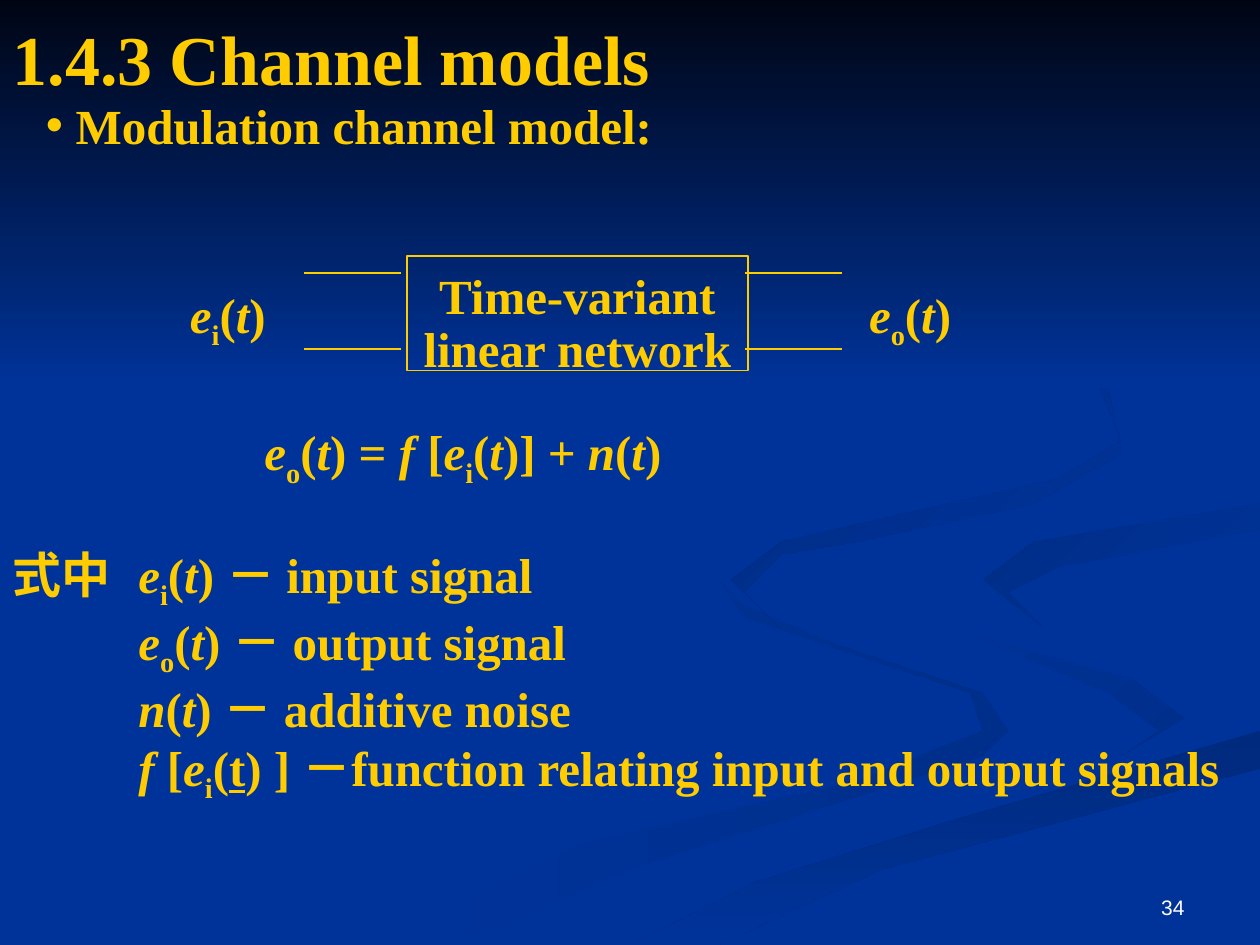
from dataclasses import dataclass

from lxml.etree import SubElement
from pptx import Presentation
from pptx.dml.color import RGBColor
from pptx.enum.shapes import MSO_CONNECTOR, MSO_SHAPE
from pptx.enum.text import MSO_ANCHOR as Anchor, MSO_AUTO_SIZE as AutoSize, PP_ALIGN as Align
from pptx.oxml.ns import qn
from pptx.util import Cm, Pt

COLORS = {
    "blue": "003399", "night": "000514", "gold": "FFCC00", "white": "FFFFFF",
    "shade1": "002E8B", "shade2": "002A7D", "shade3": "002D86", "shade4": "002B82",
}
TENTH_INCH = Cm(2.54) / 10


@dataclass
class Swirl:
    start: str
    end: str
    angle: int
    points: list[tuple[float, float]]


@dataclass
class Label:
    text: str
    left: float
    top: float
    width: float
    height: float = 1.4


SWIRLS = [
    Swirl("blue", "shade1", 0, [
        (78, 55.3), (66, 51.3), (59, 48), (57.4, 46), (59, 49), (77, 55), (78, 57.9),
        (68, 61.6), (46, 67), (30, 74.9), (36, 74.9), (50, 68.7), (78, 60.5), (80, 58)]),
    Swirl("blue", "shade1", 45, [
        (94.3, 57.1), (90, 54), (76, 49.8), (72.4, 46.4), (75.5, 50.5), (88, 54.9),
        (91.8, 58), (89.4, 60.5)]),
    Swirl("shade2", "blue", 90, [
        (50.3, 74.9), (57, 74.9), (70, 69), (99.8, 61), (99.8, 58), (76.4, 64.7), (60, 70.5)]),
    Swirl("shade3", "blue", 45, [
        (78.1, 46), (82.6, 49.6), (80.5, 47), (84, 44.8), (99.8, 42), (99.8, 40.2), (82, 43.4)]),
    Swirl("shade4", "blue", 45, [
        (68, 43), (82.5, 40.2), (89, 36), (88, 30.7), (76.2, 23.3), (87, 30), (88.6, 34.8),
        (84, 37.8), (62.5, 42.6), (57.7, 46), (62.2, 50), (59.3, 47), (62, 44.4)]),
]
SIGNALS = [
    Label("*e*~i~(*t*)", 3.58, 5.61, 2.34),
    Label("*e*~o~(*t*)", 17.27, 5.61, 2.34),
]
EQUATION = Label("*e*~o~(*t*) = *f* [*e*~i~(*t*)] + *n*(*t*)", 5.08, 8.38, 12)
DEFINITIONS = [
    "式中\t*e*~i~(*t*) － input signal",
    "*e*~o~(*t*) － output signal",
    "*n*(*t*) － additive noise",
    "*f* [*e*~i~(_t_) ] －function relating input and output signals",
]
WIRE_LEFTS = [6.12, 15.01]
WIRE_TOPS = [5.51, 7.04]
WIRE_LENGTH = 1.96


def rgb(name: str) -> RGBColor:
    return RGBColor.from_string(COLORS[name])


def write(p, text: str, *, size=28, color="gold", font="Times New Roman", bold=True,
          align=Align.LEFT, spacing=1.0, margin=0.0, indent=0.0):
    pPr = p._p.get_or_add_pPr()
    pPr.set("marL", str(Cm(margin)))
    pPr.set("indent", str(Cm(indent)))
    p.alignment, p.line_spacing, p.space_before = align, spacing, Pt(0)
    marks = {"*": False, "~": False, "_": False}
    pieces = [""]
    for char in text:
        if char in marks:
            pieces += [char, ""]
        else:
            pieces[-1] += char
    for piece in pieces:
        if piece in marks:
            marks[piece] = not marks[piece]
        elif piece:
            r = p.add_run()
            r.text = piece
            f = r.font
            f.name, f.size, f.bold = font, Pt(size), bold
            f.color.rgb = rgb(color)
            f.italic, f.underline = marks["*"], marks["_"]
            if marks["~"]:
                f._element.set("baseline", "-25000")


def place(sp, left: float, top: float, width: float, height: float):
    sp.left, sp.top, sp.width, sp.height = Cm(left), Cm(top), Cm(width), Cm(height)
    tf = sp.text_frame
    tf.word_wrap, tf.auto_size, tf.vertical_anchor = True, AutoSize.NONE, Anchor.TOP
    return tf


def add_label(slide, label: Label):
    sp = slide.shapes.add_textbox(0, 0, 0, 0)
    tf = place(sp, label.left, label.top, label.width, label.height)
    write(tf.paragraphs[0], label.text)


def shade(sp, start: str, end: str, angle: int):
    sp.shadow.inherit = False
    sp.line.fill.background()
    sp.fill.gradient()
    sp.fill.gradient_angle = (360 - angle) % 360
    for stop, name in zip(sp.fill.gradient_stops, (start, end)):
        stop.color.rgb = rgb(name)


def add_swirl(slide, swirl: Swirl):
    builder = slide.shapes.build_freeform(*swirl.points[0], scale=TENTH_INCH)
    builder.add_line_segments(swirl.points[1:], close=True)
    shade(builder.convert_to_shape(), swirl.start, swirl.end, swirl.angle)


def add_wire(slide, left: float, top: float):
    cx = slide.shapes.add_connector(
        MSO_CONNECTOR.STRAIGHT, Cm(left + WIRE_LENGTH), Cm(top), Cm(left), Cm(top))
    cx.line.color.rgb, cx.line.width = rgb("gold"), Pt(1)
    SubElement(cx._element.spPr, qn("a:effectLst"))


def main():
    prs = Presentation()
    prs.slide_width, prs.slide_height = Cm(25.4), Cm(19.05)
    slide = prs.slides.add_slide(prs.slide_layouts[1])
    slide.background.fill.solid()
    slide.background.fill.fore_color.rgb = rgb("blue")
    title, body = slide.placeholders

    for swirl in SWIRLS:
        add_swirl(slide, swirl)
    band = slide.shapes.add_shape(MSO_SHAPE.RECTANGLE, 0, 0, prs.slide_width, Cm(7.82))
    shade(band, "night", "blue", 90)
    slide.shapes._spTree.extend([title._element, body._element])

    tf = place(title, 0, 0.18, 25.4, 1.7)
    write(tf.paragraphs[0], "1.4.3 Channel models", size=40)
    tf = place(body, 0, 1.8, 25.4, 1.4)
    write(tf.paragraphs[0], "Modulation channel model:", margin=1.27, indent=-0.6)

    for label in [*SIGNALS, EQUATION]:
        add_label(slide, label)
    for left in WIRE_LEFTS:
        for top in WIRE_TOPS:
            add_wire(slide, left, top)

    network = slide.shapes.add_shape(MSO_SHAPE.RECTANGLE, 0, 0, 0, 0)
    network.shadow.inherit = False
    network.fill.background()
    network.line.color.rgb, network.line.width = rgb("gold"), Pt(1)
    tf = place(network, 8.2, 5.16, 6.88, 2.31)
    tf.margin_top = Cm(0.33)
    for i, text in enumerate(["Time-variant", "linear network"]):
        p = tf.add_paragraph() if i else tf.paragraphs[0]
        write(p, text, align=Align.CENTER, spacing=0.9)

    tf = place(slide.shapes.add_textbox(0, 0, 0, 0), 0, 10.85, 25.4, 5.46)
    for i, text in enumerate(DEFINITIONS):
        p = tf.add_paragraph() if i else tf.paragraphs[0]
        write(p, text, margin=2.54, indent=0 if i else -2.54)

    tf = place(slide.shapes.add_textbox(0, 0, 0, 0), 18.21, 17.35, 5.92, 1.32)
    tf.vertical_anchor = Anchor.BOTTOM
    write(tf.paragraphs[0], "34", size=12, color="white", font="Arial", bold=False,
          align=Align.RIGHT)
    prs.save("out.pptx")


if __name__ == "__main__":
    main()
